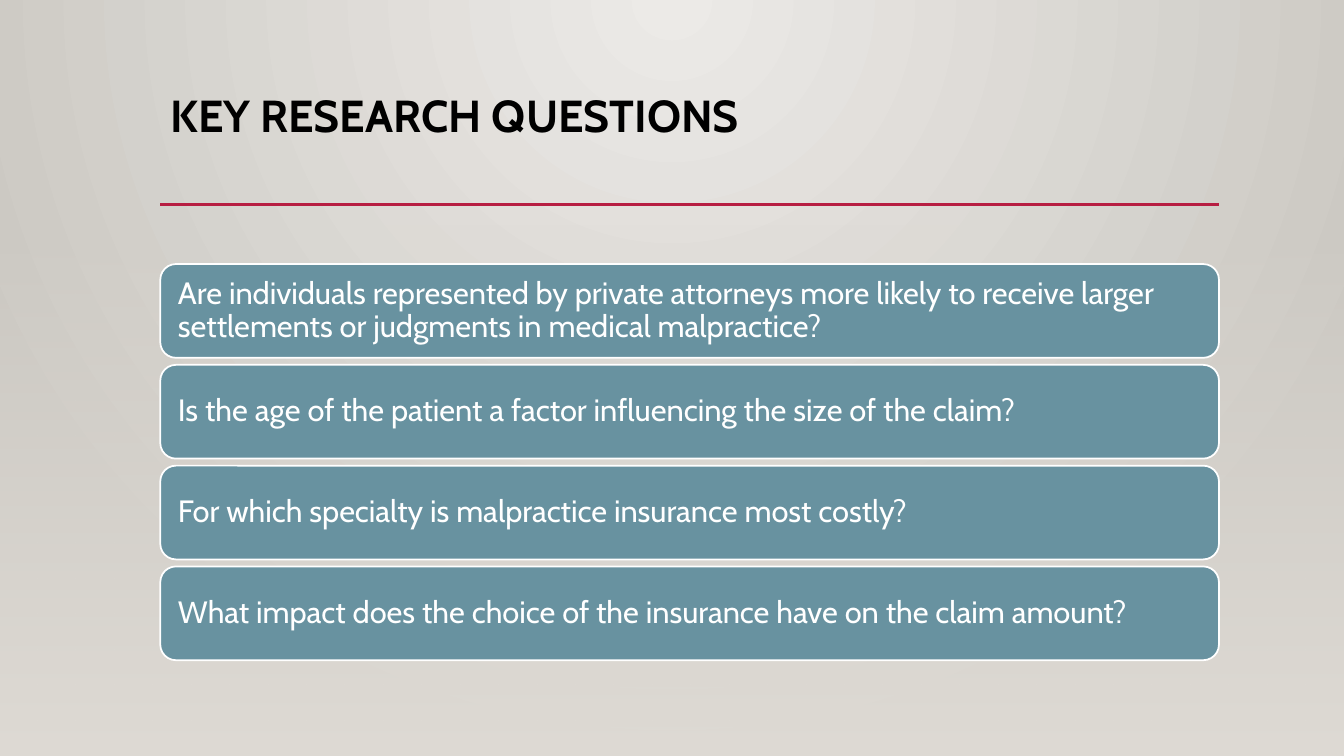
"""Build the key research questions slide."""
from lxml.etree import SubElement
from pptx import Presentation
from pptx.dml.color import RGBColor
from pptx.enum.shapes import MSO_CONNECTOR, MSO_SHAPE
from pptx.enum.text import MSO_ANCHOR, PP_ALIGN
from pptx.oxml.ns import qn
from pptx.util import Inches, Pt

TITLE = "KEY RESEARCH QUESTIONS"
QUESTIONS = [
    "Are individuals represented by private attorneys more likely to receive "
    "larger settlements or judgments in medical malpractice?",
    "Is the age of the patient a factor influencing the size of the claim?",
    "For which specialty is malpractice insurance most costly?",
    "What impact does the choice of the insurance have on the claim amount?",
]
COLORS = {
    "center": "ECEAE7", "edge": "CAC7C1", "fade": "DFDBD5",
    "rule": "B71E42", "card": "6892A0", "white": "FFFFFF", "black": "000000",
}
FONT = "Cabin"
WIDTH, HEIGHT = 13.33, 7.5
LEFT, CONTENT_WIDTH = 1.59, 10.5
TITLE_TOP, TITLE_HEIGHT = 0.88, 1.15
RULE_TOP, FADE_TOP = 2.03, 2.21
CARD_TOP, CARD_HEIGHT, CARD_PITCH = 2.62, 0.93, 1.0
TITLE_FORMAT = {"size": Pt(32), "bold": True}
CARD_FORMAT = {"size": Pt(22), "bold": False}
TITLE_FRAME = {"word_wrap": True, "vertical_anchor": MSO_ANCHOR.TOP}
CARD_FRAME = {
    "word_wrap": True, "vertical_anchor": MSO_ANCHOR.MIDDLE,
    "margin_left": Inches(0.13), "margin_right": Inches(0.13),
}


def rgb(name):
    return RGBColor.from_string(COLORS[name])


def set_gradient(fill, names):
    fill.gradient()
    for stop, name in zip(fill.gradient_stops, names):
        stop.color.rgb = rgb(name)


def write(shape, text, frame_format, font_format, color):
    frame = shape.text_frame
    for name, value in frame_format.items():
        setattr(frame, name, value)
    paragraph = frame.paragraphs[0]
    paragraph.alignment = PP_ALIGN.LEFT
    paragraph.line_spacing = 0.9
    run = paragraph.add_run()
    run.text = text
    for name, value in {"name": FONT, **font_format}.items():
        setattr(run.font, name, value)
    run.font.color.rgb = rgb(color)


def add_background(slide):
    set_gradient(slide.background.fill, ["center", "edge"])
    gradient = slide.element.find(".//" + qn("a:gradFill"))
    gradient.remove(gradient.find(qn("a:lin")))
    circle = SubElement(gradient, qn("a:path"), {"path": "circle"})
    SubElement(circle, qn("a:fillToRect"),
               {"l": "43000", "t": "0", "r": "43000", "b": "100000"})


def add_fade(slide):
    fade = slide.shapes.add_shape(
        MSO_SHAPE.RECTANGLE, 0, Inches(FADE_TOP),
        Inches(WIDTH), Inches(HEIGHT - FADE_TOP))
    fade.shadow.inherit = False
    fade.line.fill.background()
    set_gradient(fade.fill, ["fade", "fade"])
    fade.fill.gradient_angle = 270
    first_color = fade.element.find(".//" + qn("a:gs")).find(qn("a:srgbClr"))
    SubElement(first_color, qn("a:alpha"), {"val": "0"})


def add_rule(slide):
    rule = slide.shapes.add_connector(
        MSO_CONNECTOR.STRAIGHT, Inches(LEFT), Inches(RULE_TOP),
        Inches(LEFT + CONTENT_WIDTH), Inches(RULE_TOP))
    rule.line.color.rgb = rgb("rule")
    rule.line.width = Pt(2.5)
    SubElement(rule.element.spPr, qn("a:effectLst"))


def add_card(slide, index, question):
    card = slide.shapes.add_shape(
        MSO_SHAPE.ROUNDED_RECTANGLE, Inches(LEFT),
        Inches(CARD_TOP + index * CARD_PITCH),
        Inches(CONTENT_WIDTH), Inches(CARD_HEIGHT))
    card.shadow.inherit = False
    card.fill.solid()
    card.fill.fore_color.rgb = rgb("card")
    card.line.color.rgb = rgb("white")
    card.line.width = Pt(1.25)
    write(card, question, CARD_FRAME, CARD_FORMAT, "white")


def main():
    presentation = Presentation()
    presentation.slide_width = Inches(WIDTH)
    presentation.slide_height = Inches(HEIGHT)
    slide = presentation.slides.add_slide(presentation.slide_layouts[6])
    add_background(slide)
    add_fade(slide)
    title = slide.shapes.add_textbox(
        Inches(LEFT), Inches(TITLE_TOP),
        Inches(CONTENT_WIDTH), Inches(TITLE_HEIGHT))
    write(title, TITLE, TITLE_FRAME, TITLE_FORMAT, "black")
    add_rule(slide)
    for index, question in enumerate(QUESTIONS):
        add_card(slide, index, question)
    presentation.save("out.pptx")


if __name__ == "__main__":
    main()
